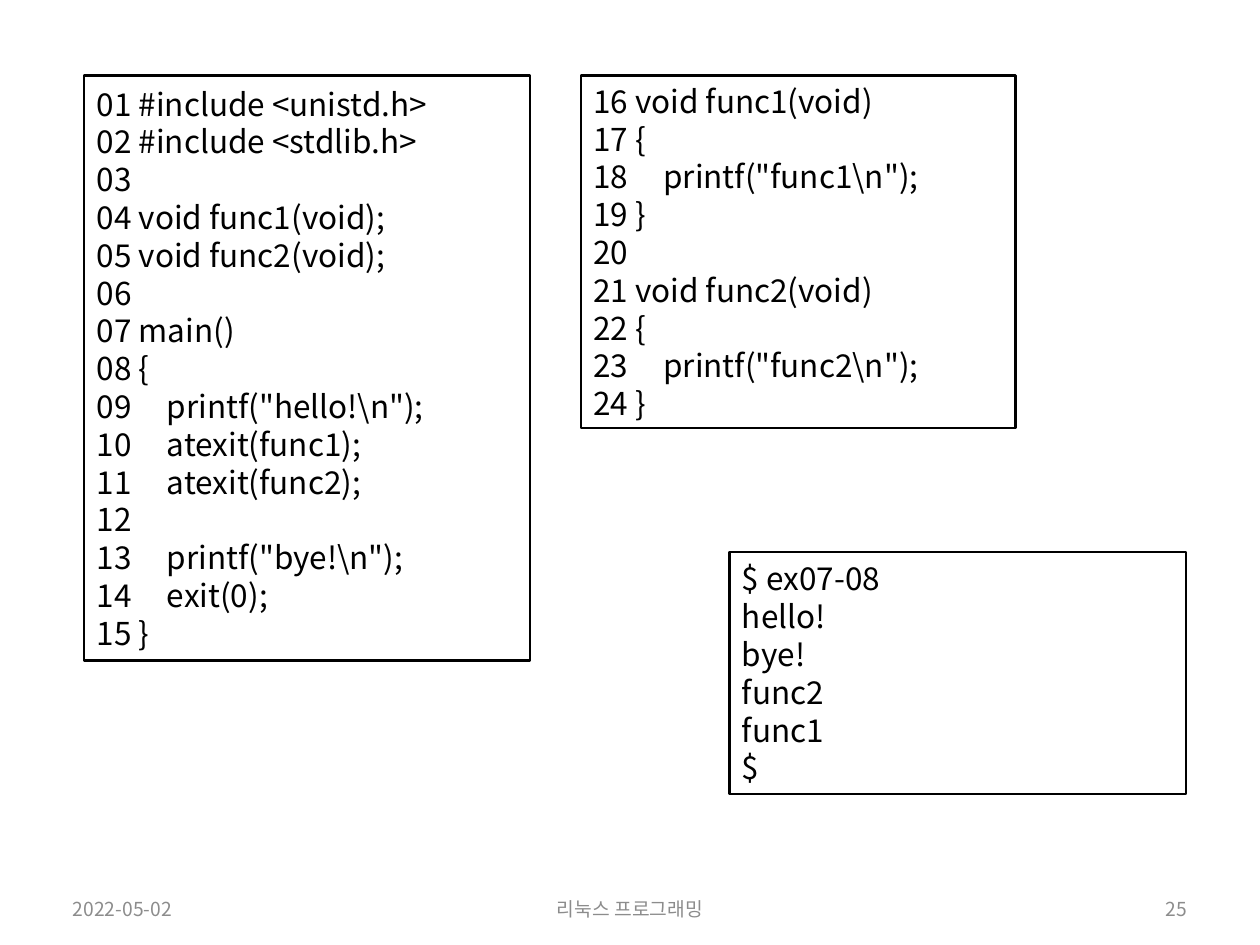
from pptx import Presentation
from pptx.dml.color import RGBColor
from pptx.enum.shapes import MSO_SHAPE
from pptx.enum.text import MSO_ANCHOR, PP_ALIGN
from pptx.util import Inches, Pt

WIDE, HIGH = Inches(10), Inches(7.5)
FACE = "Noto Sans CJK KR"
CODE = {"size": Pt(18), "name": FACE}
FOOT = {"size": Pt(11), "name": FACE}

MAIN = r"""#include <unistd.h>
#include <stdlib.h>

void func1(void);
void func2(void);

main()
{
    printf("hello!\n");
    atexit(func1);
    atexit(func2);

    printf("bye!\n");
    exit(0);
}"""

FUNCS = r"""void func1(void)
{
    printf("func1\n");
}

void func2(void)
{
    printf("func2\n");
}"""

RUN = """$ ex07-08
hello!
bye!
func2
func1
$"""


def tint(code):
    return RGBColor.from_string(code)


def place(box):
    """Turn shares of the slide into lengths."""
    x, y, w, h = box
    return int(x * WIDE), int(y * HIGH), int(w * WIDE), int(h * HIGH)


def write(frame, lines, style, color, align=PP_ALIGN.LEFT, pitch=None):
    frame.word_wrap = True
    frame.vertical_anchor = MSO_ANCHOR.MIDDLE
    for i, line in enumerate(lines):
        para = frame.paragraphs[0] if i == 0 else frame.add_paragraph()
        para.alignment = align
        para.line_spacing = pitch
        run = para.add_run()
        run.text = line
        for key, value in style.items():
            setattr(run.font, key, value)
        run.font.color.rgb = tint(color)


def number(code, first):
    """Put a two-digit line number before each line."""
    return [f"{n:02d} {line}".rstrip()
            for n, line in enumerate(code.splitlines(), first)]


def panel(slide, box, lines):
    """Framed listing."""
    shape = slide.shapes.add_shape(MSO_SHAPE.RECTANGLE, *place(box))
    shape.shadow.inherit = False
    shape.fill.background()
    shape.line.color.rgb = tint("000000")
    shape.line.width = Pt(1.25)
    write(shape.text_frame, lines, CODE, "000000", pitch=Pt(21.6))


def footer(slide, top, high):
    """Date, course and page number along the bottom."""
    parts = [
        (0.048, 0.225, "2022-05-02", PP_ALIGN.LEFT),
        (0.331, 0.338, "리눅스 프로그래밍", PP_ALIGN.CENTER),
        (0.727, 0.225, "25", PP_ALIGN.RIGHT),
    ]
    for left, wide, text, align in parts:
        label = slide.shapes.add_textbox(*place((left, top, wide, high)))
        write(label.text_frame, [text], FOOT, "8C8C8C", align)


def main():
    deck = Presentation()
    deck.slide_width, deck.slide_height = WIDE, HIGH
    slide = deck.slides.add_slide(deck.slide_layouts[6])

    footer(slide, 0.943, 0.037)

    # Source code in two columns, then the program's output
    panel(slide, (0.067, 0.08, 0.354, 0.619), number(MAIN, 1))
    panel(slide, (0.461, 0.08, 0.345, 0.373), number(FUNCS, 16))
    panel(slide, (0.579, 0.584, 0.362, 0.256), RUN.splitlines())

    deck.save("out.pptx")


if __name__ == "__main__":
    main()
